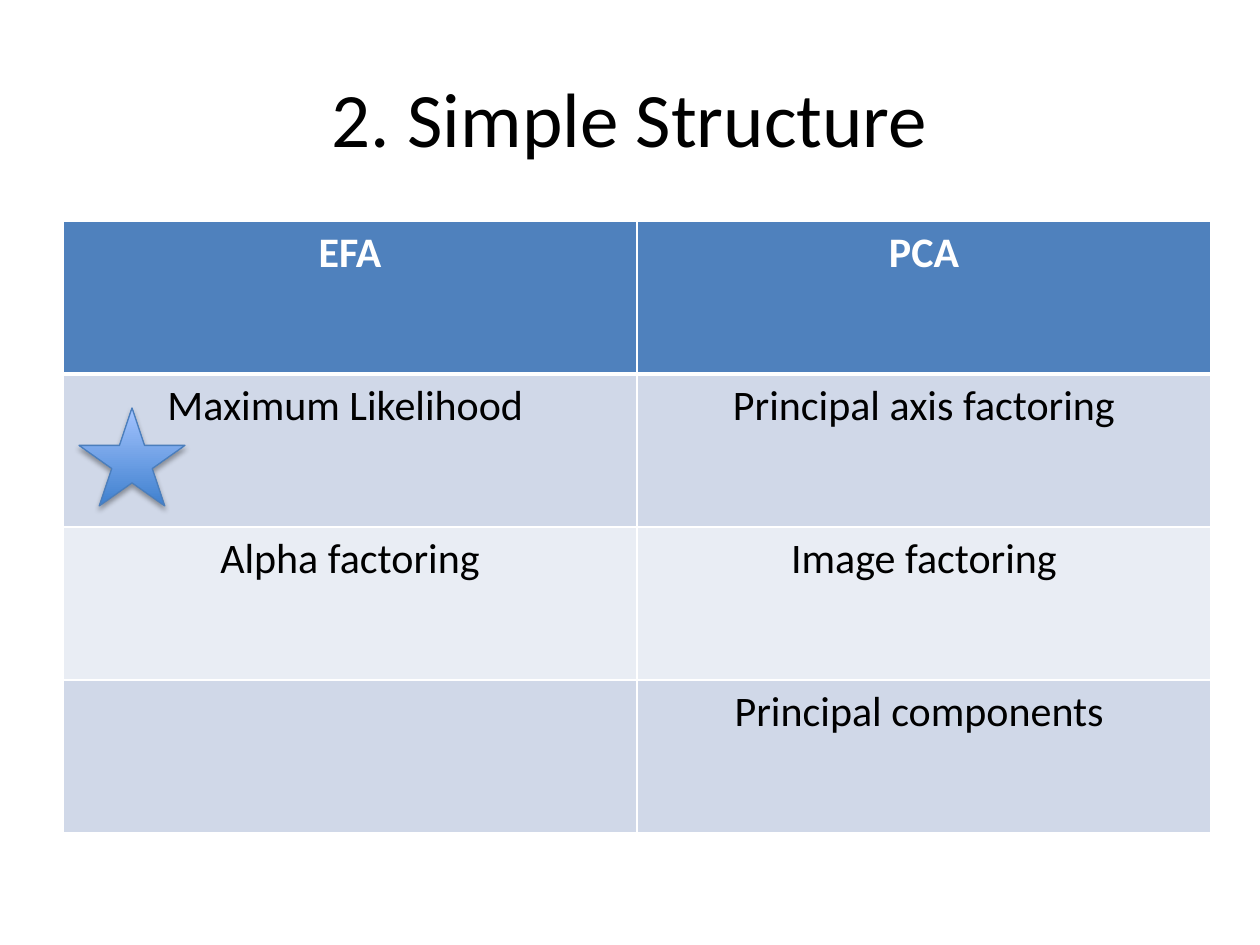
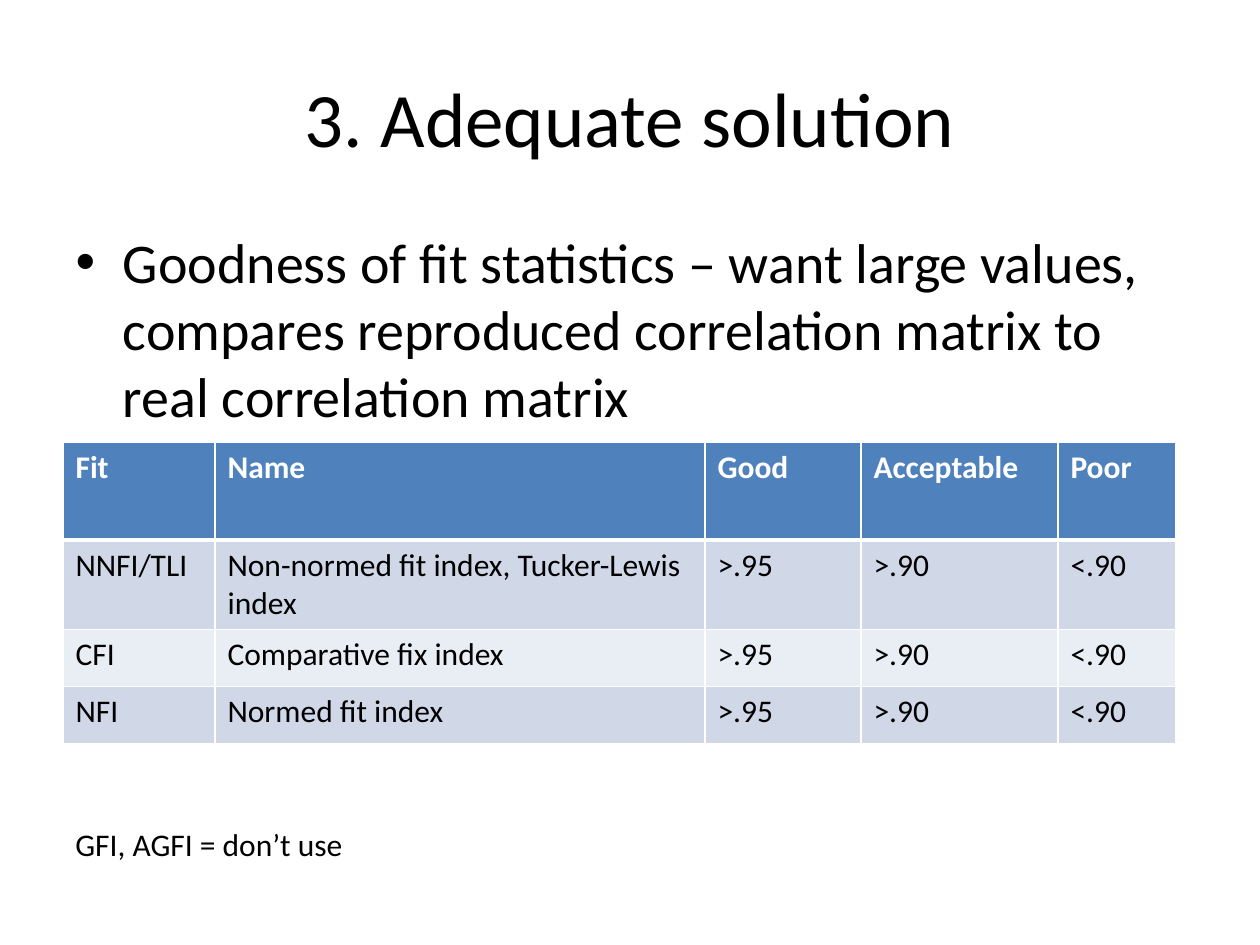
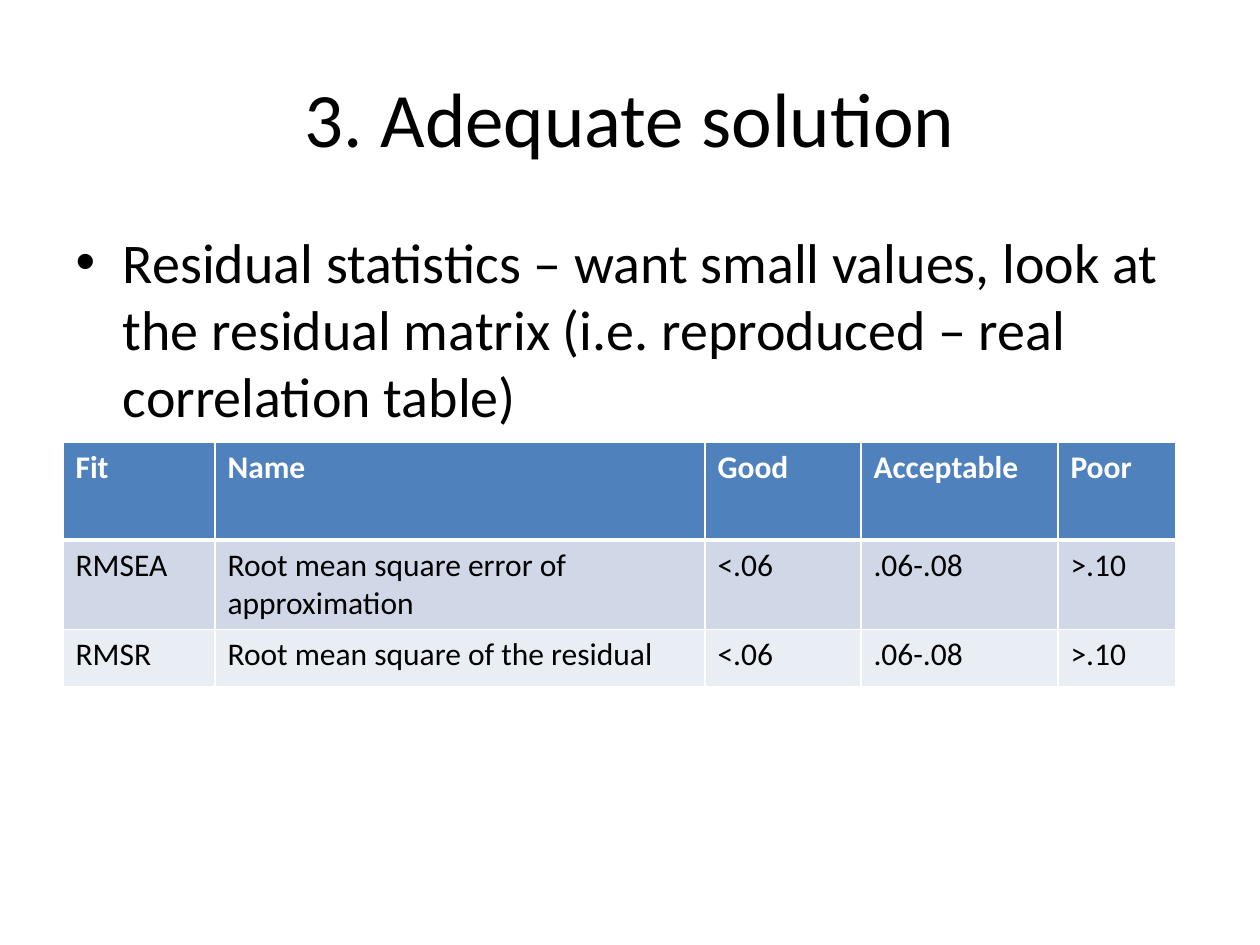
import pptx
import pptx.dml.color
import pptx.enum.shapes
import pptx.enum.text
import pptx.oxml
import pptx.oxml.ns
import pptx.util

FONT = "Calibri"
COLORS = {
    "ink": "000000",
    "white": "FFFFFF",
    "head": "4F81BD",
    "odd": "D0D8E8",
    "even": "E9EDF4",
    "deep": "3F80CE",
    "pale": "A4C4FF",
    "edge": "4B7EBC",
}
TITLE = (63, 38, 1134, 158)
BODY = (63, 221, 1134, 624)
GRID = (63, 221, 1148, 612)
STAR = (79, 408, 106, 98)
NOTE = (63, 819, 296, 50)
FIT_SPOT = (63, 442)
FIT_COLS = [152, 490, 156, 197, 118]
FIT_HEAD = ["Fit", "Name", "Good", "Acceptable", "Poor"]
HEAD_ROW, BODY_ROW = 98, 57
CENTER = pptx.enum.text.PP_ALIGN.CENTER
LEFT = pptx.enum.text.PP_ALIGN.LEFT


def px(count):
    """Turn pixels into EMU."""
    return pptx.util.Emu(round(count * 914400 / 126))


def color(name):
    """Look up a named colour."""
    return pptx.dml.color.RGBColor.from_string(COLORS[name])


def place(shape, box):
    """Move a shape to a pixel box."""
    shape.left, shape.top, shape.width, shape.height = map(px, box)


def write(frame, text, size, align=LEFT, tint="ink", bold=False):
    """Write one styled run in the first paragraph."""
    para = frame.paragraphs[0]
    para.alignment = align
    run = para.add_run()
    run.text = text
    run.font.name = FONT
    run.font.size = pptx.util.Pt(size)
    run.font.bold = bold
    run.font.color.rgb = color(tint)


def start(deck, layout, title):
    """Add a slide with its title."""
    slide = deck.slides.add_slide(deck.slide_layouts[layout])
    head = slide.shapes.title
    place(head, TITLE)
    head.text_frame.vertical_anchor = pptx.enum.text.MSO_ANCHOR.MIDDLE
    write(head.text_frame, title, 44, CENTER)
    return slide


def border(cell, row):
    """Draw white cell edges, heavier below the header row."""
    widths = {"L": 1, "R": 1, "T": 3 if row == 1 else 1, "B": 3 if row == 0 else 1}
    props = cell._tc.get_or_add_tcPr()
    for side, width in widths.items():
        props.append(pptx.oxml.parse_xml(
            f'<a:ln{side} {pptx.oxml.ns.nsdecls("a")} w="{pptx.util.Pt(width)}">'
            f'<a:solidFill><a:srgbClr val="{COLORS["white"]}"/></a:solidFill>'
            f'</a:ln{side}>'))


def table(slide, spot, cols, highs, rows, size, align=LEFT):
    """Add a banded table at a spot."""
    box = (*spot, sum(cols), sum(highs))
    grid = slide.shapes.add_table(len(rows), len(cols), *map(px, box)).table
    for col, width in zip(grid.columns, cols):
        col.width = px(width)
    for r, (texts, high) in enumerate(zip(rows, highs)):
        grid.rows[r].height = px(high)
        band = "head" if r == 0 else "odd" if r % 2 else "even"
        for c, text in enumerate(texts):
            cell = grid.cell(r, c)
            border(cell, r)
            cell.fill.solid()
            cell.fill.fore_color.rgb = color(band)
            if text:
                write(cell.text_frame, text, size, align,
                      "ink" if r else "white", r == 0)


def star(slide, box):
    """Add the shaded star mark."""
    kind = pptx.enum.shapes.MSO_SHAPE.STAR_5_POINT
    mark = slide.shapes.add_shape(kind, *map(px, box))
    mark.fill.gradient()
    mark.fill.gradient_angle = 90
    for stop, place_at, tint in zip(mark.fill.gradient_stops, (0, 1), ("deep", "pale")):
        stop.position = place_at
        stop.color.rgb = color(tint)
    mark.line.color.rgb = color("edge")
    mark.line.width = pptx.util.Pt(0.75)
    mark.shadow.inherit = False
    mark._element.spPr.find(pptx.oxml.ns.qn("a:effectLst")).append(pptx.oxml.parse_xml(
        f'<a:outerShdw {pptx.oxml.ns.nsdecls("a")} blurRad="{pptx.util.Pt(3.1)}" '
        f'dist="{pptx.util.Pt(1.8)}" dir="5400000" rotWithShape="0">'
        f'<a:srgbClr val="{COLORS["ink"]}"><a:alpha val="35000"/></a:srgbClr>'
        '</a:outerShdw>'))


def note(slide, box, text):
    """Add a short note on one line."""
    frame = slide.shapes.add_textbox(*map(px, box)).text_frame
    frame.word_wrap = False
    frame.auto_size = pptx.enum.text.MSO_AUTO_SIZE.SHAPE_TO_FIT_TEXT
    write(frame, text, 18)


def methods(deck, title, rows):
    """Build the slide that sorts methods in two columns."""
    slide = start(deck, 5, title)
    left, top, width, height = GRID
    table(slide, (left, top), [width // 2] * 2,
          [height // len(rows)] * len(rows), rows, 24, CENTER)
    star(slide, STAR)


def fits(deck, title, point, rows):
    """Build a slide with a bullet and a table of fit limits."""
    slide = start(deck, 1, title)
    body = slide.placeholders[1]
    place(body, BODY)
    write(body.text_frame, point, 32)
    highs = [HEAD_ROW] + [BODY_ROW] * len(rows)
    table(slide, FIT_SPOT, FIT_COLS, highs, [FIT_HEAD] + rows, 18)
    return slide


def main():
    """Build and save the deck."""
    deck = pptx.Presentation()
    deck.slide_width, deck.slide_height = px(1260), px(945)
    methods(deck, "2. Simple Structure", [
        ["EFA", "PCA"],
        ["Maximum Likelihood ", "Principal axis factoring"],
        ["Alpha factoring", "Image factoring"],
        ["", "Principal components "],
    ])
    high = [">.95", ">.90", "<.90"]
    slide = fits(
        deck, "3. Adequate solution",
        "Goodness of fit statistics – want large values, compares reproduced "
        "correlation matrix to real correlation matrix",
        [["NNFI/TLI", "Non-normed fit index, Tucker-Lewis index", *high],
         ["CFI", "Comparative fix index", *high],
         ["NFI", "Normed fit index", *high]])
    note(slide, NOTE, "GFI, AGFI = don’t use")
    low = ["<.06", ".06-.08", ">.10"]
    fits(
        deck, "3. Adequate solution",
        "Residual statistics – want small values, look at the residual matrix "
        "(i.e. reproduced – real correlation table)",
        [["RMSEA", "Root mean square error of approximation", *low],
         ["RMSR", "Root mean square of the residual", *low]])
    deck.save("out.pptx")


if __name__ == "__main__":
    main()
